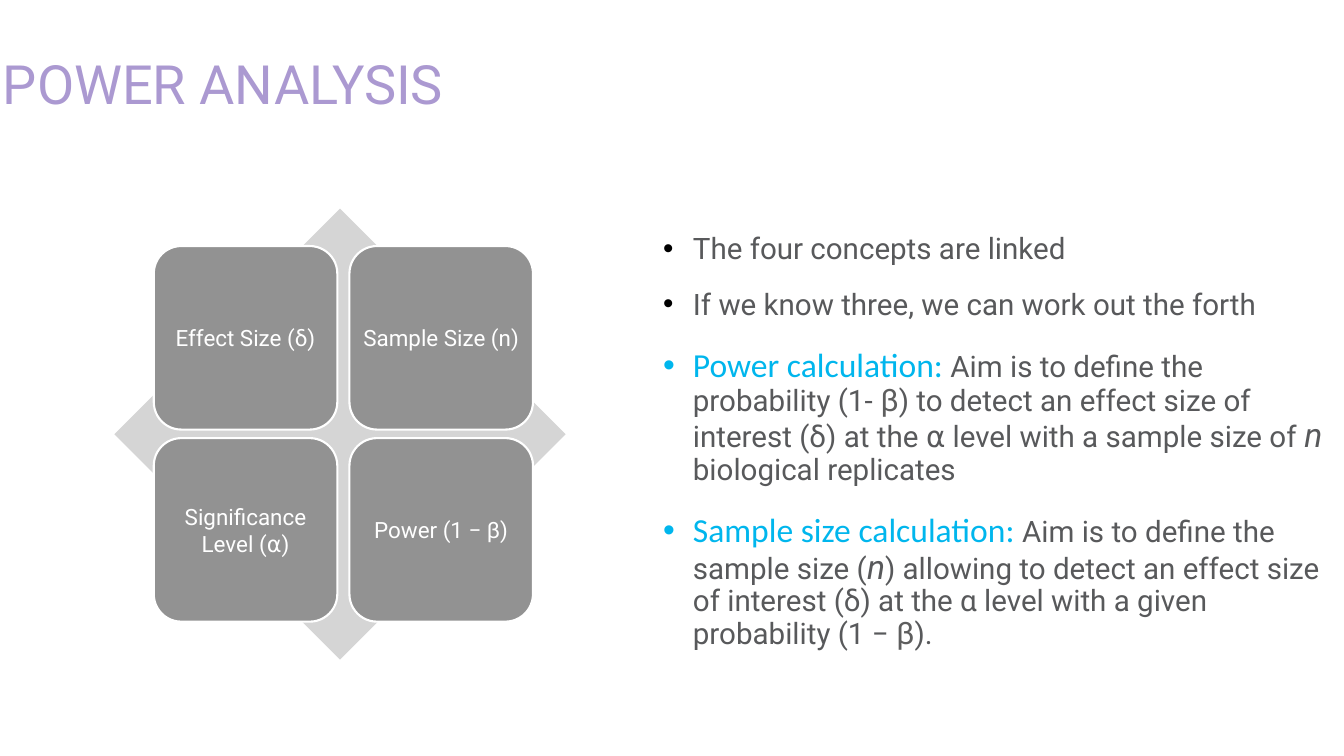
import pptx
import pptx.dml.color
import pptx.enum.shapes
import pptx.enum.text
import pptx.oxml.ns
import pptx.util
from lxml import etree

Cm = pptx.util.Cm
Pt = pptx.util.Pt
RGBColor = pptx.dml.color.RGBColor
MSO_SHAPE = pptx.enum.shapes.MSO_SHAPE
MSO_ANCHOR = pptx.enum.text.MSO_ANCHOR
PP_ALIGN = pptx.enum.text.PP_ALIGN
qn = pptx.oxml.ns.qn

WHITE = RGBColor(0xFF, 0xFF, 0xFF)
BLACK = RGBColor(0x00, 0x00, 0x00)
LIGHT_GREY = RGBColor(0xD5, 0xD5, 0xD5)
TILE_GREY = RGBColor(0x92, 0x92, 0x92)
TEXT_GREY = RGBColor(0x58, 0x59, 0x5B)
SYMBOL_GREY = RGBColor(0x5E, 0x5E, 0x5E)
LILAC = RGBColor(0xAB, 0x99, 0xD1)
CYAN = RGBColor(0x00, 0xB6, 0xED)

# Run styles: size, colour, font, italic
TITLE = (77.3, LILAC, "Roboto", False)
TILE = (32, WHITE, "Roboto", False)
BODY = (42.2, TEXT_GREY, "Roboto", False)
TERM = (48, CYAN, "Calibri", False)
SYMBOL = (44, SYMBOL_GREY, "Roboto", False)
VARIABLE = (48, TEXT_GREY, "Roboto", True)

CONCEPTS = [
    ["Effect Size (δ)", "Sample Size (n)"],
    ["Significance Level (⍺)", "Power (1 − β)"],
]

# Bullet colour, line spacing, runs
BULLETS = [
    (BLACK, 0.8, [("The four concepts are linked", BODY)]),
    (BLACK, 0.8, [("If we know three, we can work out the forth", BODY)]),
    (CYAN, 0.9, [
        ("Power calculation:", TERM),
        (" Aim is to define the probability (1-", BODY),
        (" β", SYMBOL),
        (") to detect an effect size of interest (δ) at the ⍺ level"
         " with a sample size of ", BODY),
        ("n ", VARIABLE),
        ("biological replicates", BODY),
    ]),
    (CYAN, 0.9, [
        ("Sample size calculation:", TERM),
        (" Aim is to define the sample size (", BODY),
        ("n", VARIABLE),
        (") allowing to detect an effect size of interest (δ) at the α level"
         " with a given probability (1 − ", BODY),
        ("β", SYMBOL),
        (").", BODY),
    ]),
]


def add_run(paragraph, text, style):
    run = paragraph.add_run()
    run.text = text
    size, color, font_name, italic = style
    run.font.size = Pt(size)
    run.font.color.rgb = color
    run.font.name = font_name
    run.font.italic = italic


def prepare_frame(shape, anchor):
    frame = shape.text_frame
    frame.word_wrap = True
    frame.vertical_anchor = anchor
    frame.margin_left = frame.margin_right = Cm(0.15)
    frame.margin_top = frame.margin_bottom = Cm(0.15)
    return frame


def add_text_box(slide, left, top, width, height):
    box = slide.shapes.add_textbox(Cm(left), Cm(top), Cm(width), Cm(height))
    return prepare_frame(box, MSO_ANCHOR.TOP)


def add_filled_shape(slide, preset, left, top, side, color):
    shape = slide.shapes.add_shape(preset, Cm(left), Cm(top), Cm(side), Cm(side))
    shape.shadow.inherit = False
    shape.fill.solid()
    shape.fill.fore_color.rgb = color
    shape.line.fill.background()
    return shape


def add_tile(slide, left, top, label):
    tile = add_filled_shape(slide, MSO_SHAPE.ROUNDED_RECTANGLE, left, top, 9.25, TILE_GREY)
    tile.adjustments[0] = 0.15
    tile.line.color.rgb = WHITE
    tile.line.width = Pt(3)
    paragraph = prepare_frame(tile, MSO_ANCHOR.MIDDLE).paragraphs[0]
    paragraph.alignment = PP_ALIGN.CENTER
    add_run(paragraph, label, TILE)


def add_concept_matrix(slide):
    add_filled_shape(slide, MSO_SHAPE.DIAMOND, 5.77, 10.52, 22.73, LIGHT_GREY)
    for row, labels in enumerate(CONCEPTS):
        for column, label in enumerate(labels):
            add_tile(slide, 7.75 + 9.86 * column, 12.4 + 9.68 * row, label)


def set_bullet(paragraph, color):
    properties = paragraph._p.get_or_add_pPr()
    properties.set("marL", str(Cm(1.5)))
    properties.set("indent", str(-Cm(1.5)))
    bullet_color = etree.SubElement(properties, qn("a:buClr"))
    etree.SubElement(bullet_color, qn("a:srgbClr"), val=str(color))
    etree.SubElement(properties, qn("a:buFont"), typeface="Arial")
    etree.SubElement(properties, qn("a:buChar"), char="•")


def add_title(slide):
    paragraph = add_text_box(slide, 0, 3, 61.04, 4).paragraphs[0]
    paragraph.line_spacing = 0.8
    add_run(paragraph, "POWER ANALYSIS", TITLE)


def add_bullet_list(slide):
    frame = add_text_box(slide, 33.27, 11.81, 34.44, 22.94)
    for index, (bullet_color, line_spacing, runs) in enumerate(BULLETS):
        paragraph = frame.add_paragraph() if index else frame.paragraphs[0]
        set_bullet(paragraph, bullet_color)
        paragraph.line_spacing = line_spacing
        if index:
            paragraph.space_before = Pt(39)
        for text, style in runs:
            add_run(paragraph, text, style)


def main():
    presentation = pptx.Presentation()
    presentation.slide_width = Cm(67.73)
    presentation.slide_height = Cm(38.1)
    slide = presentation.slides.add_slide(presentation.slide_layouts[6])
    add_concept_matrix(slide)
    add_title(slide)
    add_bullet_list(slide)
    presentation.save("out.pptx")


if __name__ == "__main__":
    main()
